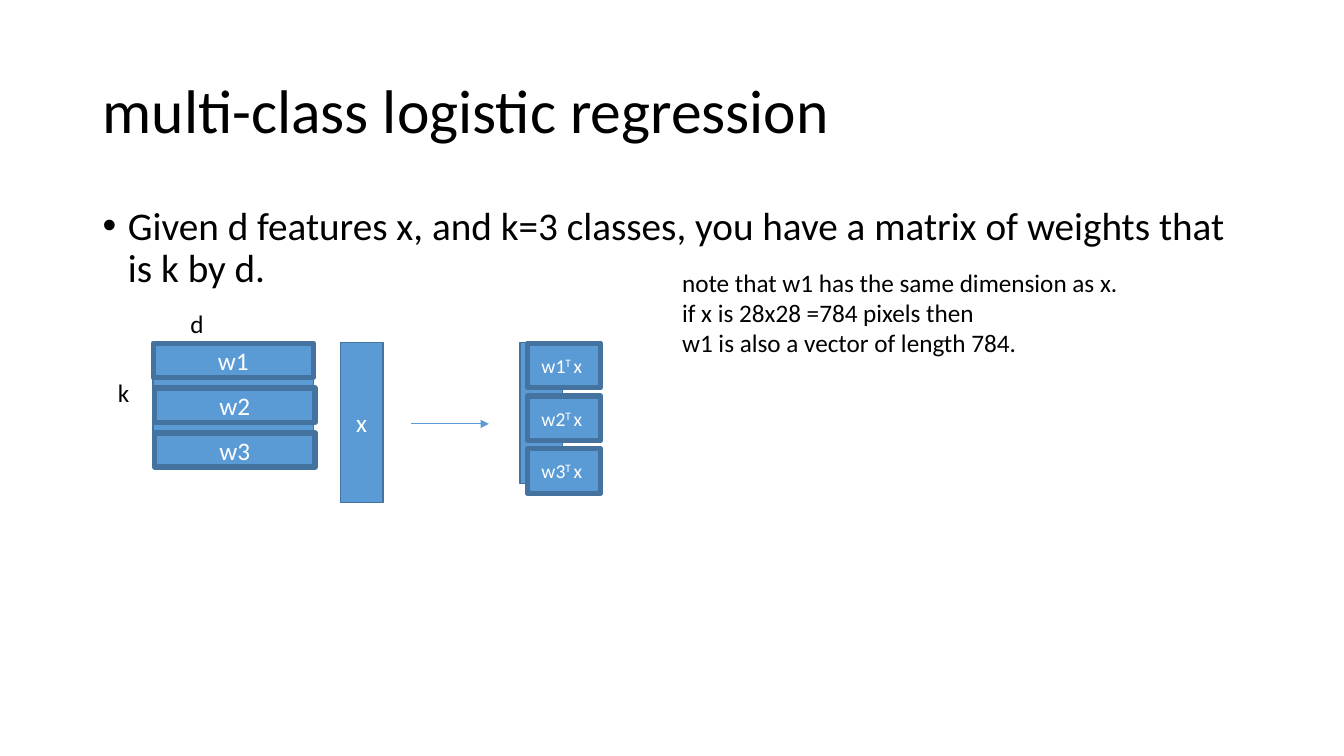
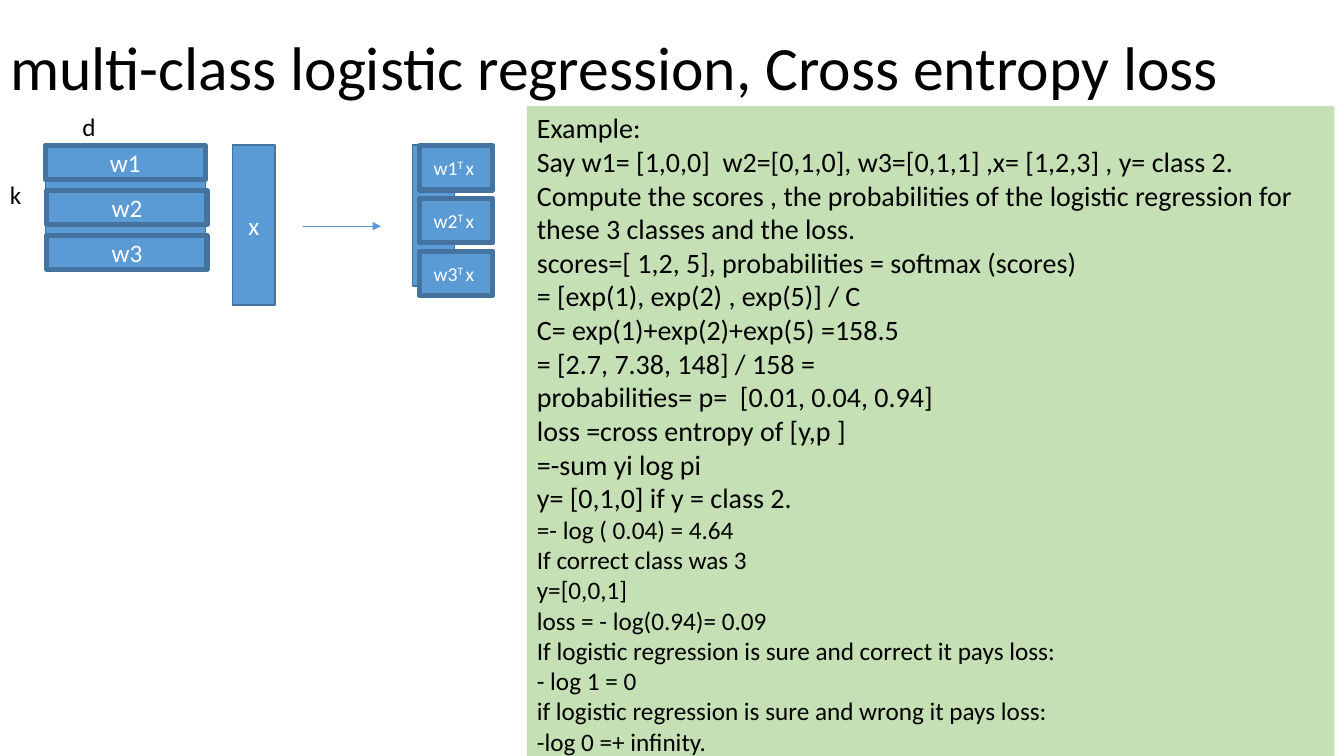
from dataclasses import dataclass
from lxml import etree
from pptx import Presentation
from pptx import util as u
from pptx.dml.color import RGBColor
from pptx.enum import shapes, text
from pptx.oxml.ns import qn


@dataclass(frozen=True)
class Theme:
    face: str = "Calibri"
    ink: str = "000000"
    pale: str = "FFFFFF"
    blue: str = "5B9BD5"
    edge: str = "43739E"
    green: str = "C5E0B4"
    head: int = 44
    body: int = 28
    large: int = 20
    base: int = 18
    small: int = 14
    thin: float = 1
    thick: float = 3.75
    hair: float = 0.5


theme = Theme()
left, mid = text.PP_ALIGN.LEFT, text.PP_ALIGN.CENTER


def write(frame, rows, tint=theme.ink, side=left):
    frame.word_wrap = True
    frame.auto_size = text.MSO_AUTO_SIZE.NONE
    for i, (size, *parts) in enumerate(rows):
        para = frame.paragraphs[0] if i == 0 else frame.add_paragraph()
        para.alignment = side
        for j, part in enumerate(parts):
            run = para.add_run()
            run.text = part
            run.font.name = theme.face
            run.font.size = u.Pt(size)
            run.font.color.rgb = RGBColor.from_string(tint)
            if j == 1:
                run.font._element.set("baseline", "30000")


def block(page, spot, width, *parts, size=theme.base):
    rect = page.shapes.add_shape(shapes.MSO_SHAPE.RECTANGLE, *map(u.Cm, spot))
    rect.shadow.inherit = False
    rect.fill.solid()
    rect.fill.fore_color.rgb = RGBColor.from_string(theme.blue)
    rect.line.color.rgb = RGBColor.from_string(theme.edge)
    rect.line.width = u.Pt(width)
    if parts:
        rect.text_frame.vertical_anchor = text.MSO_ANCHOR.MIDDLE
        write(rect.text_frame, [(size, *parts)], theme.pale, mid)


note = [
    "note that w1 has the same dimension as x.",
    "if x is 28x28 =784 pixels then",
    "w1 is also a vector of length 784.",
]
steps = [
    "Example:",
    "Say w1= [1,0,0]  w2=[0,1,0], w3=[0,1,1] ,x= [1,2,3] , y= class 2.",
    "Compute the scores , the probabilities of the logistic regression for these 3 classes and the loss.",
    "scores=[ 1,2, 5], probabilities = softmax (scores)",
    "= [exp(1), exp(2) , exp(5)] / C",
    "C= exp(1)+exp(2)+exp(5) =158.5",
    "= [2.7, 7.38, 148] / 158 =",
    "probabilities= p=  [0.01, 0.04, 0.94]",
    "loss =cross entropy of [y,p ]",
    "=-sum yi log pi",
    "y= [0,1,0] if y = class 2.",
]
cases = [
    "=- log ( 0.04) = 4.64",
    "If correct class was 3",
    "y=[0,0,1]",
    "loss = - log(0.94)= 0.09",
    "If logistic regression is sure and correct it pays loss:",
    "- log 1 = 0",
    "if logistic regression is sure and wrong it pays loss:",
    "-log 0 =+ infinity.",
]

deck = Presentation()
deck.slide_width, deck.slide_height = u.Cm(33.87), u.Cm(19.05)

pages = [
    (1, "multi-class logistic regression", (2.33, 1.02, 29.21, 3.68), (2.72, 7.65),
     (16.94, 6.6, 15.39, 2.57), None, [(theme.base, row) for row in note]),
    (5, "multi-class logistic regression, Cross entropy loss", (0, -0.05, 32.33, 3.68), (0, 2.67),
     (13.28, 2.67, 20.35, 16.38), theme.green,
     [(theme.large, row) for row in steps] + [(theme.base, row) for row in cases]),
]

for kind, name, place, (x, y), area, fill, rows in pages:
    page = deck.slides.add_slide(deck.slide_layouts[kind])
    title = page.shapes.title
    title.left, title.top, title.width, title.height = map(u.Cm, place)
    title.text_frame.vertical_anchor = text.MSO_ANCHOR.MIDDLE
    write(title.text_frame, [(theme.head, name)])
    title.text_frame.paragraphs[0].line_spacing = 0.9

    if kind == 1:
        body = page.placeholders[1]
        body.left, body.top, body.width, body.height = map(u.Cm, (2.33, 5.08, 29.21, 12.09))
        write(body.text_frame, [(
            theme.body,
            "Given d features x, and k=3 classes, you have a matrix of weights that is k by d.",
        )])
        para = body.text_frame.paragraphs[0]
        para.line_spacing, para.space_before = 0.9, u.Pt(10)
        props = para._p.get_or_add_pPr()
        props.set("marL", str(u.Cm(0.64)))
        props.set("indent", str(u.Cm(-0.64)))

    block(page, (x + 5.86, y + 0.98, 1.07, 4.04), theme.thin, "x")
    block(page, (x + 1.14, y + 0.98, 4.04, 3.02), theme.thin)
    block(page, (x + 10.39, y + 0.98, 1.07, 3.56), theme.thin)

    arrow = page.shapes.add_connector(
        shapes.MSO_CONNECTOR.STRAIGHT,
        *map(u.Cm, (x + 7.64, y + 3.03, x + 9.6, y + 3.03)))
    arrow.line.color.rgb = RGBColor.from_string(theme.blue)
    arrow.line.width = u.Pt(theme.hair)
    etree.SubElement(arrow.line._get_or_add_ln(), qn("a:tailEnd"), type="triangle")
    etree.SubElement(arrow._element.spPr, qn("a:effectLst"))

    for i, shift in enumerate((0, 0.04, 0.04)):
        label = f"w{i + 1}"
        block(page, (x + 1.14 + shift, y + 1 + 1.13 * i, 4.04, 0.86), theme.thick, label)
        block(page, (x + 10.57, y + 1 + 1.33 * i, 1.85, 1.12), theme.thick,
              label, "T ", "x ", size=theme.small)

    for spot, tint, lines in (
        ((x, y + 1.73, 2.29, 1.02), None, [(theme.base, "k")]),
        ((x + 1.83, y, 2.29, 1.02), None, [(theme.base, "d")]),
        (area, fill, rows),
    ):
        field = page.shapes.add_textbox(*map(u.Cm, spot))
        if tint:
            field.fill.solid()
            field.fill.fore_color.rgb = RGBColor.from_string(tint)
        write(field.text_frame, lines)

deck.save("out.pptx")
